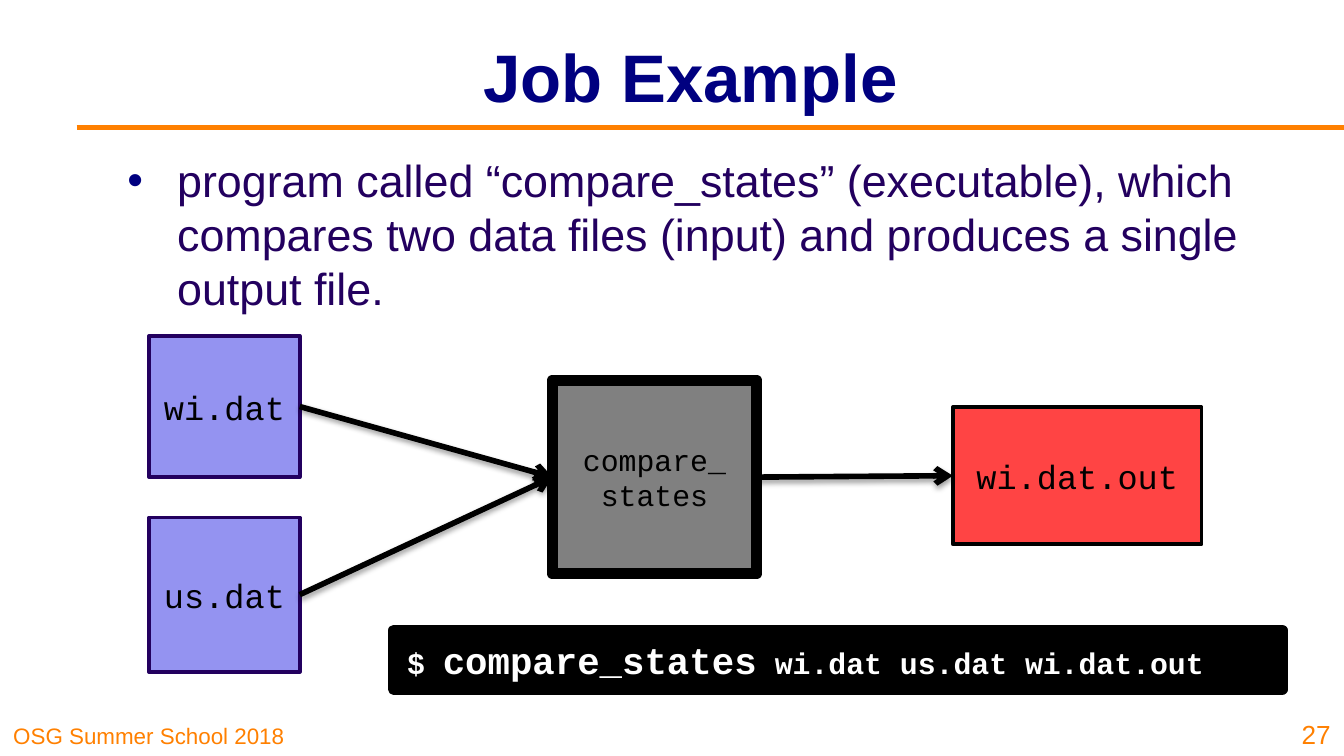
from lxml.etree import SubElement
from pptx import Presentation
from pptx.dml.color import RGBColor
from pptx.enum.shapes import MSO_CONNECTOR as Conn, MSO_SHAPE as Shape
from pptx.enum.text import MSO_ANCHOR as Anchor, PP_ALIGN as Align
from pptx.oxml.ns import qn
from pptx.util import Inches, Pt

NAVY = RGBColor(0x00, 0x00, 0x80)
PLUM = RGBColor(0x23, 0x00, 0x5F)
ORANGE = RGBColor(0xFF, 0x80, 0x00)
LILAC = RGBColor(0x94, 0x93, 0xF1)
GRAY = RGBColor(0x80, 0x80, 0x80)
RED = RGBColor(0xFF, 0x44, 0x44)
BLACK = RGBColor(0x00, 0x00, 0x00)
WHITE = RGBColor(0xFF, 0xFF, 0xFF)
SANS, MONO = "Arial", "Courier New"
LEFT, RIGHT = 1, 3  # connection sites of a rectangle

# Content
TITLE = "Job Example"
POINT = ("program called “compare_states” (executable), which compares "
         "two data files (input) and produces a single output file.")
FOOTER, NUMBER = "OSG Summer School 2018", "27"
# name: place, fill, line, line width, text lines, text size
BOXES = {
    "wi": ((1.11, 2.5, 1.12, 1.05), LILAC, PLUM, 2, ["wi.dat"], 18),
    "job": ((4.11, 2.83, 1.52, 1.44), GRAY, BLACK, 6,
            ["compare_", "states"], 16),
    "us": ((1.11, 3.85, 1.12, 1.15), LILAC, PLUM, 2, ["us.dat"], 18),
    "out": ((7.09, 3.03, 1.85, 1.02), RED, BLACK, 2, ["wi.dat.out"], 18),
}
FLOWS = [("us", "job"), ("job", "out"), ("wi", "job")]
COMMAND = [("$ ", 16), ("compare_states", 20),
           (" wi.dat us.dat wi.dat.out", 16)]

# A 16:9 slide
deck = Presentation()
deck.slide_width = Inches(10)
deck.slide_height = deck.slide_width * 9 // 16
slide = deck.slides.add_slide(deck.slide_layouts[5])
shapes = slide.shapes


def inches(place):
    return [Inches(v) for v in place]


def add_run(para, text, size, color, face=SANS, bold=False):
    run = para.add_run()
    run.text = text
    font = run.font
    font.name, font.size, font.bold = face, Pt(size), bold
    font.color.rgb = color


def add_text(place, text, size, color, align=Align.LEFT, anchor=Anchor.TOP):
    frame = shapes.add_textbox(*inches(place)).text_frame
    frame.word_wrap = True
    frame.vertical_anchor = anchor
    para = frame.paragraphs[0]
    para.alignment = align
    add_run(para, text, size, color)
    return para


def add_box(place, fill, line, width):
    box = shapes.add_shape(Shape.RECTANGLE, *inches(place))
    box.shadow.inherit = False
    box.fill.solid()
    box.fill.fore_color.rgb = fill
    box.line.color.rgb = line
    box.line.width = Pt(width)
    return box


def add_line(start, end, color):
    line = shapes.add_connector(Conn.STRAIGHT, *inches(start + end))
    line.line.color.rgb = color
    line.line.width = Pt(3)
    return line, SubElement(line._element.spPr, qn("a:effectLst"))


# Footer and rule
add_text((0, 5.31, 2.48, 0.31), FOOTER, 12, ORANGE, anchor=Anchor.BOTTOM)
add_line((0.57, 0.95), (10, 0.95), ORANGE)

# Title
title = shapes.title
title.left, title.top, title.width, title.height = inches(
    (1.34, 0.09, 7.6, 0.94))
title.text_frame.vertical_anchor = Anchor.MIDDLE
head = title.text_frame.paragraphs[0]
head.alignment = Align.CENTER
add_run(head, TITLE, 36, NAVY, bold=True)

# Bullet point
point = add_text((0.85, 1.09, 8.5, 3.84), POINT, 24, PLUM)
props = point._p.get_or_add_pPr()
props.set("marL", str(Inches(0.37)))
props.set("indent", str(-Inches(0.37)))
tint = SubElement(props, qn("a:buClr"))
SubElement(tint, qn("a:srgbClr"), val=str(NAVY))
SubElement(props, qn("a:buFont"), typeface=SANS)
SubElement(props, qn("a:buChar"), char="•")

# Slide number
add_text((9.54, 5.25, 0.46, 0.38), NUMBER, 14, ORANGE, Align.RIGHT,
         Anchor.BOTTOM)

# Files and program
nodes = {}
for name, (place, fill, line, width, rows, size) in BOXES.items():
    nodes[name] = add_box(place, fill, line, width)
    frame = nodes[name].text_frame
    frame.word_wrap = False
    frame.vertical_anchor = Anchor.MIDDLE
    for i, row in enumerate(rows):
        para = frame.add_paragraph() if i else frame.paragraphs[0]
        para.alignment = Align.CENTER
        add_run(para, row, size, BLACK, MONO)

# Arrows with a soft shadow
for source, target in FLOWS:
    arrow, effects = add_line((0, 0), (1, 1), BLACK)
    arrow.begin_connect(nodes[source], RIGHT)
    arrow.end_connect(nodes[target], LEFT)
    SubElement(arrow.line._get_or_add_ln(), qn("a:tailEnd"), type="arrow")
    shade = SubElement(effects, qn("a:outerShdw"), blurRad=str(Pt(3.1)),
                       dist=str(Pt(1.6)), dir="5400000", rotWithShape="0")
    tone = SubElement(shade, qn("a:srgbClr"), val=str(BLACK))
    SubElement(tone, qn("a:alpha"), val="38000")

# Command line
shell = add_box((2.93, 4.69, 6.61, 0.44), BLACK, BLACK, 6)
frame = shell.text_frame
frame.word_wrap = True
frame.vertical_anchor = Anchor.TOP
para = frame.paragraphs[0]
para.alignment = Align.LEFT
for text, size in COMMAND:
    add_run(para, text, size, WHITE, MONO, bold=True)

deck.save("out.pptx")
